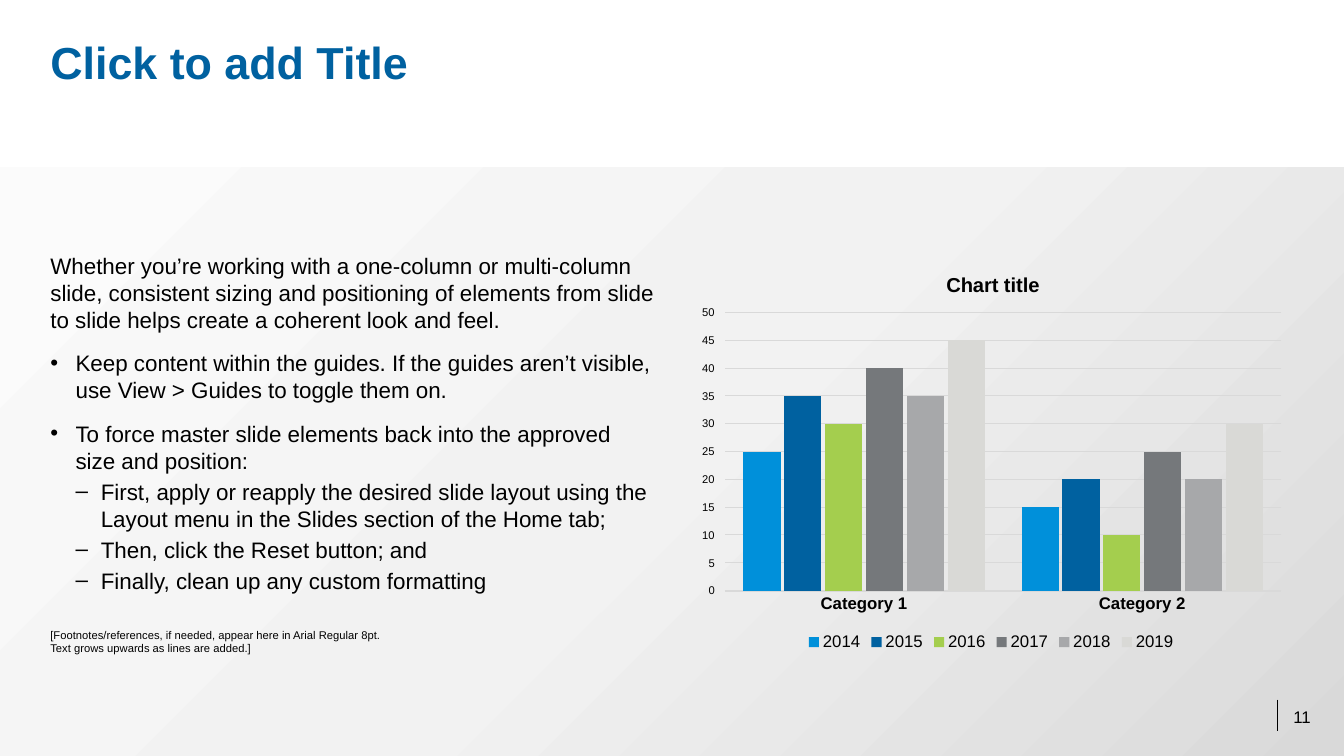
import pptx
import pptx.chart.data
import pptx.dml.color
import pptx.enum.chart
import pptx.enum.shapes
import pptx.enum.text
import pptx.oxml
import pptx.oxml.ns
import pptx.util
from lxml import etree
from pptx.util import Inches

COLORS = {
    "title": "0061A0",
    "text": "000000",
    "grid": "D9D9D9",
    "2014": "0090DA",
    "2015": "0061A0",
    "2016": "A4CE4E",
    "2017": "75787B",
    "2018": "A7A8AA",
    "2019": "D9D9D6",
}
PANEL_STOPS = [(0, "D9D9D9"), (50, "F2F2F2"), (100, "FBFBFB")]
qn = pptx.oxml.ns.qn
Anchor = pptx.enum.text.MSO_ANCHOR


def style_font(font, size, color="text", bold=False):
    font.name = "Arial"
    font.size = pptx.util.Pt(size)
    font.bold = bold
    font.color.rgb = pptx.dml.color.RGBColor.from_string(COLORS[color])


def add_text(box, lines, size, anchor=Anchor.TOP, color="text", bold=False):
    """Add a text box without margins, one paragraph per line, and return its paragraphs."""
    frame = slide.shapes.add_textbox(*map(Inches, box)).text_frame
    frame.word_wrap = True
    frame.vertical_anchor = anchor
    frame.margin_left = frame.margin_right = frame.margin_top = frame.margin_bottom = 0
    frame.text = "\n".join(lines)
    for paragraph in frame.paragraphs:
        style_font(paragraph.runs[0].font, size, color, bold)
    return frame.paragraphs


presentation = pptx.Presentation()
presentation.slide_width = Inches(13.33)
presentation.slide_height = Inches(7.5)
slide = presentation.slides.add_slide(presentation.slide_layouts[6])

# Shaded panel, darkest in the bottom right corner
panel = slide.shapes.add_shape(
    pptx.enum.shapes.MSO_SHAPE.RECTANGLE, 0, Inches(1.66), Inches(13.33), Inches(5.84))
panel.shadow.inherit = False
panel.line.fill.background()
stops = "".join(
    f'<a:gs pos="{position * 1000}"><a:srgbClr val="{color}"/></a:gs>'
    for position, color in PANEL_STOPS)
gradient = pptx.oxml.parse_xml(
    f'<a:gradFill {pptx.oxml.ns.nsdecls("a")} rotWithShape="1"><a:gsLst>{stops}</a:gsLst>'
    '<a:path path="circle"><a:fillToRect l="100000" t="100000"/></a:path></a:gradFill>')
panel.element.spPr.find(qn("a:prstGeom")).addnext(gradient)

# Page number
divider = slide.shapes.add_connector(
    pptx.enum.shapes.MSO_CONNECTOR.STRAIGHT,
    Inches(12.67), Inches(6.94), Inches(12.67), Inches(7.25))
divider.line.width = pptx.util.Pt(1)
divider.line.color.rgb = pptx.dml.color.RGBColor.from_string(COLORS["text"])
etree.SubElement(divider.element.spPr, qn("a:effectLst"))
page_number = add_text((12.5, 6.96, 0.5, 0.25), ["11"], 12, Anchor.BOTTOM)
page_number[0].alignment = pptx.enum.text.PP_ALIGN.RIGHT

# Body text: bullet, left indent and space before for each paragraph
body = [
    ("", 0, 12, "Whether you’re working with a one-column or multi-column slide, consistent sizing "
     "and positioning of elements from slide to slide helps create a coherent look and feel."),
    ("•", 0.25, 12, "Keep content within the guides. If the guides aren’t visible, "
     "use View > Guides to toggle them on."),
    ("•", 0.25, 12, "To force master slide elements back into the approved size and position:"),
    ("–", 0.5, 3, "First, apply or reapply the desired slide layout using the Layout menu "
     "in the Slides section of the Home tab;"),
    ("–", 0.5, 3, "Then, click the Reset button; and"),
    ("–", 0.5, 3, "Finally, clean up any custom formatting"),
]
body_paragraphs = add_text((0.5, 2.5, 6, 4), [text for *_, text in body], 16)
for paragraph, (bullet, indent, space, _) in zip(body_paragraphs, body):
    paragraph.space_before = pptx.util.Pt(space)
    if bullet:
        paragraph.level = 1 if bullet == "–" else 0
        properties = paragraph._p.get_or_add_pPr()
        properties.set("marL", str(Inches(indent)))
        properties.set("indent", str(Inches(-0.25)))
        etree.SubElement(properties, qn("a:buFont"), typeface="Arial")
        etree.SubElement(properties, qn("a:buChar"), char=bullet)

# Chart
chart_data = pptx.chart.data.CategoryChartData()
chart_data.categories = ["Category 1", "Category 2"]
for year, values in {
    "2014": (25, 15), "2015": (35, 20), "2016": (30, 10),
    "2017": (40, 25), "2018": (35, 20), "2019": (45, 30),
}.items():
    chart_data.add_series(year, values)
chart = slide.shapes.add_chart(
    pptx.enum.chart.XL_CHART_TYPE.COLUMN_CLUSTERED,
    Inches(6.83), Inches(2.5), Inches(6), Inches(4), chart_data).chart
style_font(chart.font, 12)

chart.has_title = True
chart.chart_title.text_frame.text = "Chart title"
style_font(chart.chart_title.text_frame.paragraphs[0].runs[0].font, 14.4, bold=True)
chart.chart_title.include_in_layout = False

chart.has_legend = True
chart.legend.position = pptx.enum.chart.XL_LEGEND_POSITION.BOTTOM
chart.legend.include_in_layout = False
style_font(chart.legend.font, 12)

plot = chart.plots[0]
plot.gap_width = 100
plot.overlap = -10
plot.vary_by_categories = False
for series in plot.series:
    series.format.fill.solid()
    series.format.fill.fore_color.rgb = pptx.dml.color.RGBColor.from_string(COLORS[series.name])

grid_color = pptx.dml.color.RGBColor.from_string(COLORS["grid"])
category_axis = chart.category_axis
category_axis.major_tick_mark = pptx.enum.chart.XL_TICK_MARK.NONE
category_axis.format.line.color.rgb = grid_color
category_axis.format.line.width = pptx.util.Pt(1.5)
style_font(category_axis.tick_labels.font, 12, bold=True)

value_axis = chart.value_axis
value_axis.minimum_scale, value_axis.maximum_scale, value_axis.major_unit = 0, 50, 5
value_axis.major_tick_mark = pptx.enum.chart.XL_TICK_MARK.OUTSIDE
value_axis.format.line.fill.background()
value_axis.major_gridlines.format.line.color.rgb = grid_color
value_axis.major_gridlines.format.line.width = pptx.util.Pt(0.75)
style_font(value_axis.tick_labels.font, 8)

# Fixed places for the chart title and the plot, as fractions of the chart
plot_area = chart._chartSpace.chart.plotArea
for old_layout in plot_area.findall(qn("c:layout")):
    plot_area.remove(old_layout)
title_element = chart.chart_title._element
for old_layout in title_element.findall(qn("c:layout")):
    title_element.remove(old_layout)
title_place = {"xMode": "edge", "yMode": "edge", "x": 0.42, "y": 0.04}
plot_place = {"layoutTarget": "inner", "xMode": "edge", "yMode": "edge",
              "x": 0.06, "y": 0.15, "w": 0.92, "h": 0.69}
for parent, index, place in [(title_element, 1, title_place), (plot_area, 0, plot_place)]:
    layout = etree.Element(qn("c:layout"))
    manual = etree.SubElement(layout, qn("c:manualLayout"))
    for key, value in place.items():
        etree.SubElement(manual, qn(f"c:{key}"), val=str(value))
    parent.insert(index, layout)

# Title and footnote
title = add_text((0.5, 0.4, 12.33, 1.5), ["Click to add Title"], 32, color="title", bold=True)
title[0].line_spacing = 0.9
add_text((0.5, 6.02, 12.33, 0.48), [
    "[Footnotes/references, if needed, appear here in Arial Regular 8pt.",
    "Text grows upwards as lines are added.]",
], 8, Anchor.BOTTOM)

presentation.save("out.pptx")
